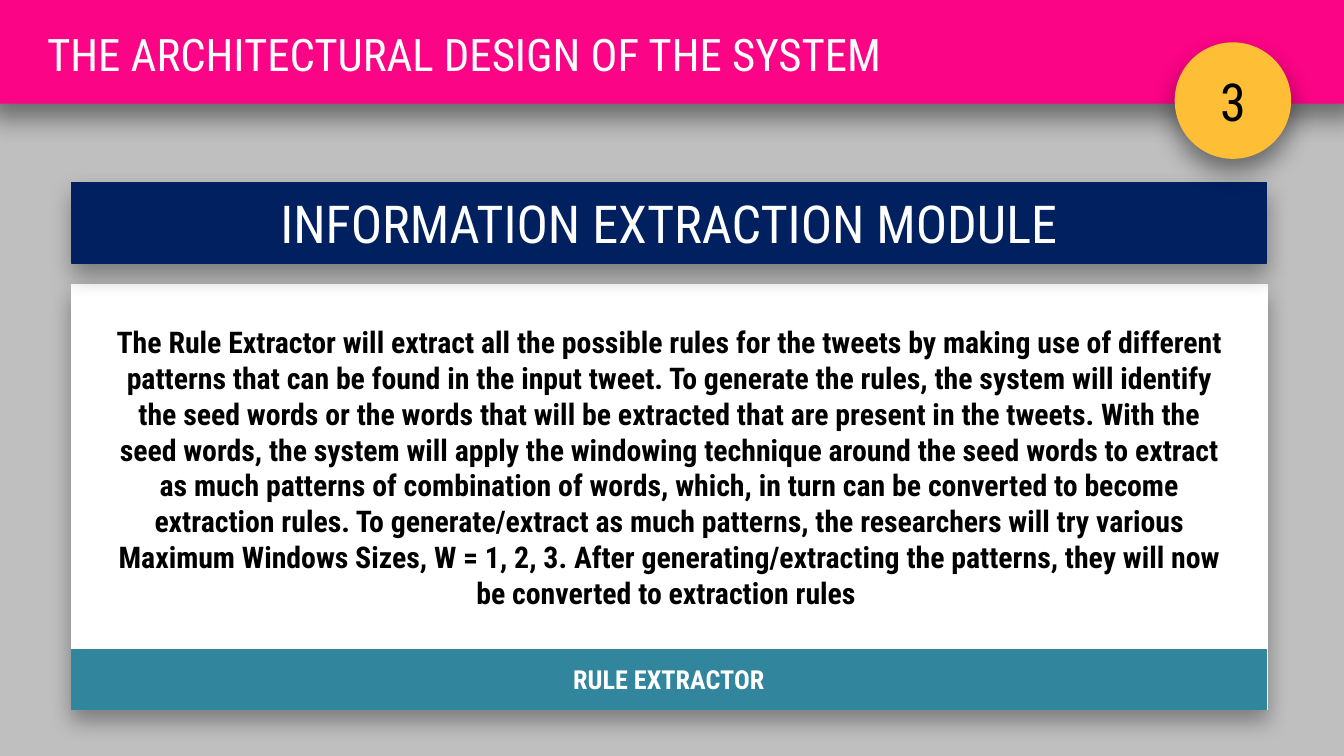
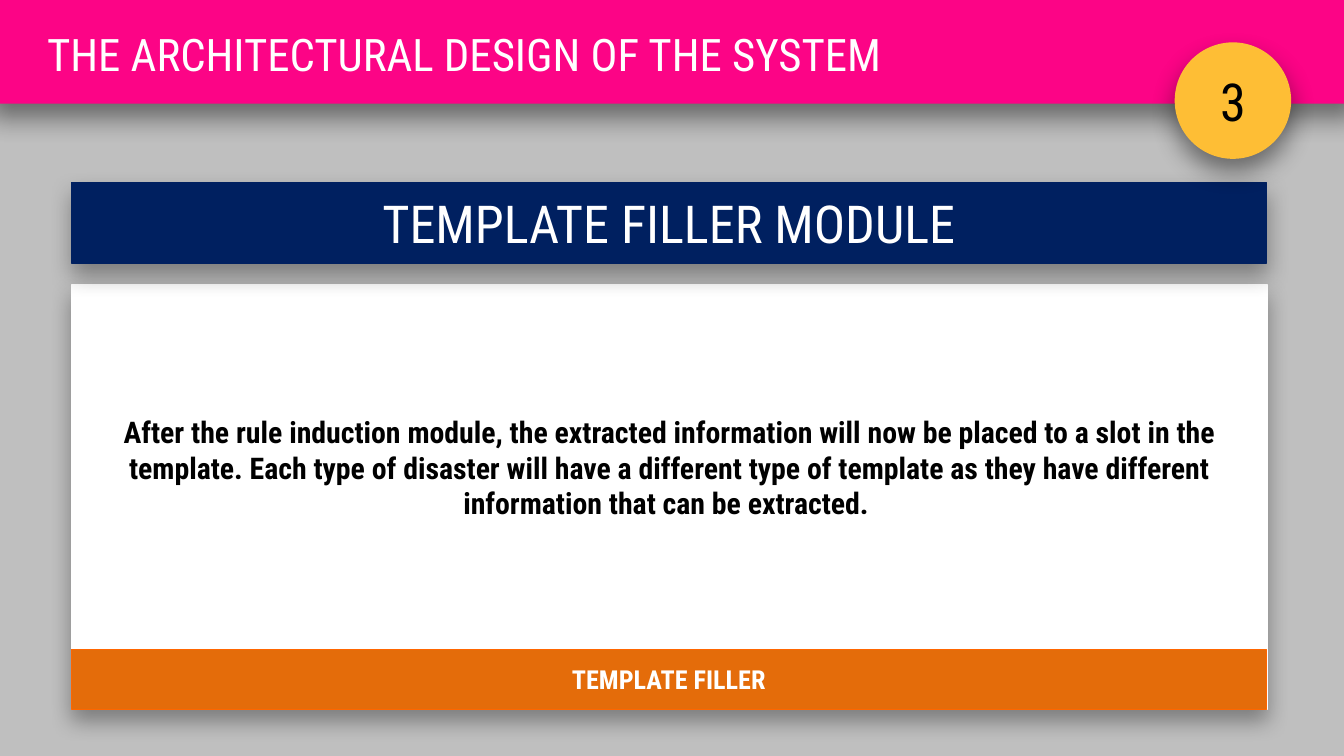
import pptx
import pptx.util
import pptx.dml.color
import pptx.enum.shapes
import pptx.enum.text
import pptx.oxml
import pptx.oxml.ns
from dataclasses import dataclass

Pt = pptx.util.Pt
SHAPES = pptx.enum.shapes.MSO_SHAPE
ALIGN = pptx.enum.text.PP_ALIGN
ANCHOR = pptx.enum.text.MSO_ANCHOR

SECTION_TITLE = "THE ARCHITECTURAL DESIGN OF THE SYSTEM"
SECTION_NUMBER = "3"
MODULES = [
    {
        "heading": "INFORMATION EXTRACTION MODULE",
        "label": "RULE EXTRACTOR",
        "label_fill": "31859C",
        "label_line": "31859C",
        "text": (
            "The Rule Extractor will extract all the possible rules for the tweets by making "
            "use of different patterns that can be found in the input tweet. To generate the "
            "rules, the system will identify the seed words or the words that will be "
            "extracted that are present in the tweets. With the seed words, the system will "
            "apply the windowing technique around the seed words to extract as much patterns "
            "of combination of words, which, in turn can be converted to become extraction "
            "rules. To generate/extract as much patterns, the researchers will try various "
            "Maximum Windows Sizes, W = 1, 2, 3. After generating/extracting the patterns, "
            "they will now be converted to extraction rules "
        ),
    },
    {
        "heading": "TEMPLATE FILLER MODULE",
        "label": "TEMPLATE FILLER",
        "label_fill": "E46C0A",
        "label_line": "FF6600",
        "text": (
            "After the rule induction module, the extracted information will now be placed to "
            "a slot in the template. Each type of disaster will have a different type of "
            "template as they have different information that can be extracted. "
        ),
    },
]


@dataclass(frozen=True)
class Theme:
    """Colours, type sizes and shadows shared by the slides."""
    font: str = "Roboto Condensed"
    background: str = "BFBFBF"
    band: str = "FC0486"
    badge: str = "FEBE35"
    heading: str = "002060"
    white: str = "FFFFFF"
    black: str = "000000"
    title_size: float = 24
    heading_size: float = 28
    body_size: float = 16
    label_size: float = 14
    outline: float = 0.75
    # opacity in percent, blur and distance in points
    panel_shadow: tuple = (35, 12, 6)
    header_shadow: tuple = (45, 14, 7)


THEME = Theme()

# Left, top, width, height in points
PAGE_SIZE = (720, 405)
BAND = (-6, -70.5, 732, 126)
TITLE = (18, 10.8, 577.5, 36)
BADGE = (629.3, 22.7, 62.4, 62.4)
HEADING = (38.2, 97.8, 640.2, 43.2)
PANEL = (38.6, 152.5, 640.2, 227.5)
LABEL_HEIGHT = 32
LABEL = (HEADING[0], PANEL[1] + PANEL[3] - LABEL_HEIGHT, HEADING[2], LABEL_HEIGHT)


def inset(frame, across, down):
    """Shrink a frame by equal margins on opposite sides."""
    left, top, width, height = frame
    return left + across, top + down, width - 2 * across, height - 2 * down


HEADING_TEXT = inset(HEADING, 9.4, 1.4)
BODY_TEXT = inset((PANEL[0], PANEL[1], PANEL[2], LABEL[1] - PANEL[1]), 14, 8.9)


def colour(code):
    """Turn a hex code into a colour object."""
    return pptx.dml.color.RGBColor.from_string(code)


def place(box, frame):
    """Set the position and size of a box."""
    for name, value in zip(("left", "top", "width", "height"), frame):
        setattr(box, name, Pt(value))


def paint(box, fill, line=None):
    """Fill a box and give it an outline or none."""
    box.fill.solid()
    box.fill.fore_color.rgb = colour(fill)
    if line:
        box.line.color.rgb = colour(line)
        box.line.width = Pt(THEME.outline)
    else:
        box.line.fill.background()


def cast_shadow(box, opacity, blur, distance):
    """Add a soft black shadow below a box."""
    effects = box.element.spPr.find(pptx.oxml.ns.qn("a:effectLst"))
    effects.append(pptx.oxml.parse_xml(
        f'<a:outerShdw {pptx.oxml.ns.nsdecls("a")} blurRad="{Pt(blur)}" '
        f'dist="{Pt(distance)}" dir="5400000" algn="ctr" rotWithShape="0">'
        f'<a:srgbClr val="{THEME.black}"><a:alpha val="{opacity * 1000}"/></a:srgbClr>'
        '</a:outerShdw>'))


def write(box, text, size, ink, bold=False, align=ALIGN.CENTER, anchor=ANCHOR.MIDDLE):
    """Put one formatted paragraph in a box."""
    frame = box.text_frame
    frame_format = {"word_wrap": True, "vertical_anchor": anchor,
                    "auto_size": pptx.enum.text.MSO_AUTO_SIZE.NONE}
    for name, value in frame_format.items():
        setattr(frame, name, value)
    para = frame.paragraphs[0]
    for name, value in {"alignment": align, "space_before": Pt(0)}.items():
        setattr(para, name, value)
    span = para.add_run()
    span.text = text
    for name, value in {"name": THEME.font, "size": Pt(size), "bold": bold}.items():
        setattr(span.font, name, value)
    span.font.color.rgb = colour(ink)


def add_box(page, frame, fill, line=None, shadow=None, kind=SHAPES.RECTANGLE):
    """Add a preset shape, with a shadow if one is given."""
    box = page.shapes.add_shape(kind, *map(Pt, frame))
    box.shadow.inherit = False
    paint(box, fill, line)
    if shadow:
        cast_shadow(box, *shadow)
    return box


def take_placeholder(box, frame, fill, line=None):
    """Move a placeholder to a frame, in front of what is drawn so far."""
    box.element.getparent().append(box.element)
    place(box, frame)
    paint(box, fill, line)
    return box


def remove_bullet(para):
    """Drop the bullet and its indent from a paragraph."""
    properties = para._p.get_or_add_pPr()
    properties.set("marL", "0")
    properties.set("indent", "0")
    properties.append(pptx.oxml.parse_xml(f'<a:buNone {pptx.oxml.ns.nsdecls("a")}/>'))


def add_panel(page, module):
    """Draw the white panel with its text and coloured label."""
    add_box(page, PANEL, THEME.white, THEME.white, THEME.panel_shadow)
    label = add_box(page, LABEL, module["label_fill"], module["label_line"])
    write(label, module["label"], THEME.label_size, THEME.white, bold=True)
    body = take_placeholder(page.placeholders[1], BODY_TEXT, THEME.white, THEME.white)
    write(body, module["text"], THEME.body_size, THEME.black, bold=True)
    remove_bullet(body.text_frame.paragraphs[0])


def add_heading(page, text):
    """Draw the navy module heading."""
    add_box(page, HEADING, THEME.heading, THEME.heading, THEME.panel_shadow)
    heading = add_box(page, HEADING_TEXT, THEME.heading, THEME.heading)
    write(heading, text, THEME.heading_size, THEME.white)


def add_header(page):
    """Draw the top band, section title and number badge."""
    add_box(page, BAND, THEME.band, shadow=THEME.header_shadow)
    title = take_placeholder(page.shapes.title, TITLE, THEME.band)
    write(title, SECTION_TITLE, THEME.title_size, THEME.white,
          align=ALIGN.LEFT, anchor=ANCHOR.TOP)
    badge = add_box(page, BADGE, THEME.badge, shadow=THEME.header_shadow, kind=SHAPES.OVAL)
    write(badge, SECTION_NUMBER, THEME.heading_size, THEME.black)


def build():
    """Build and save the deck."""
    deck = pptx.Presentation()
    deck.slide_width, deck.slide_height = map(Pt, PAGE_SIZE)
    for module in MODULES:
        page = deck.slides.add_slide(deck.slide_layouts[1])
        page.background.fill.solid()
        page.background.fill.fore_color.rgb = colour(THEME.background)
        add_panel(page, module)
        add_heading(page, module["heading"])
        add_header(page)
    deck.save("out.pptx")


build()
